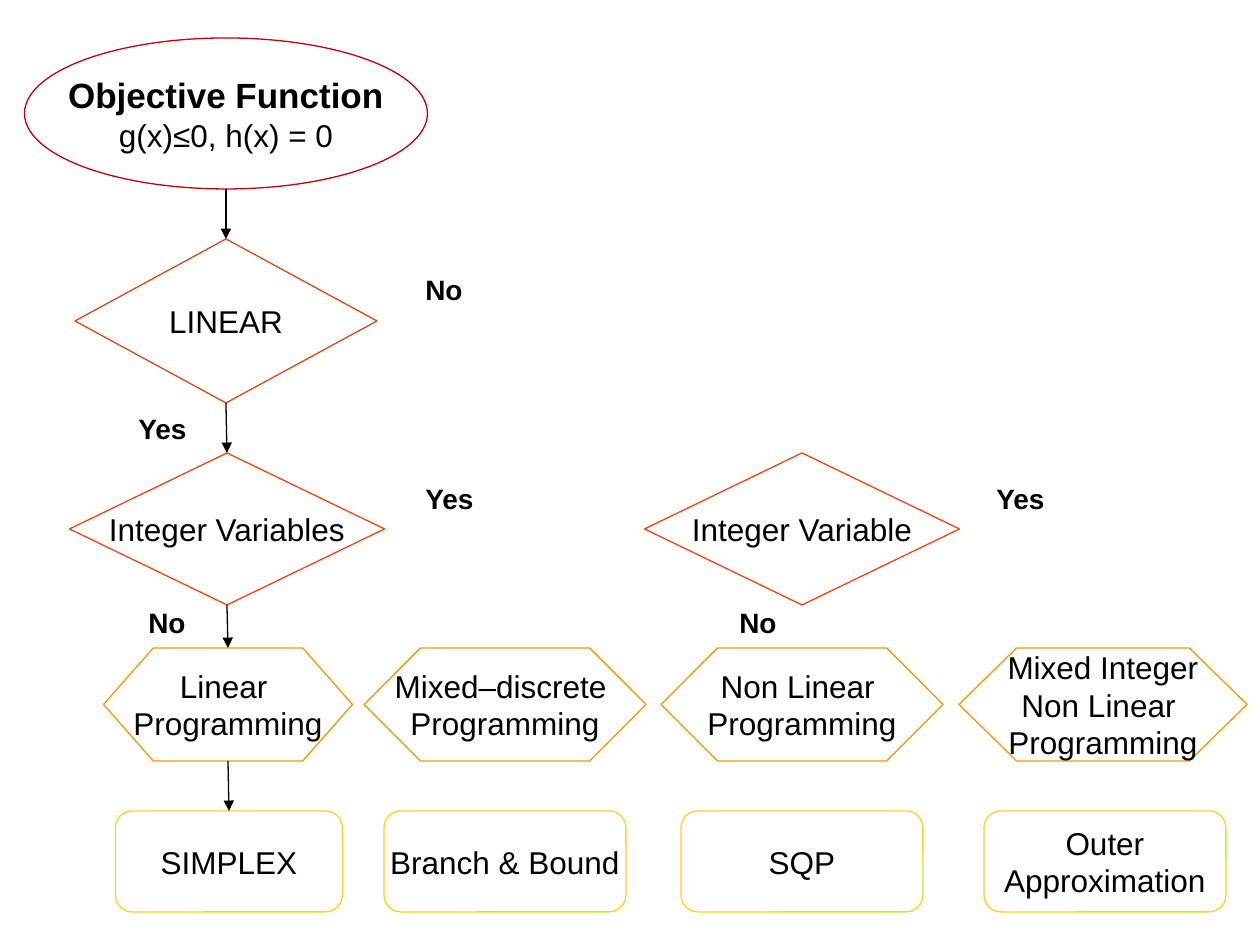
from lxml.etree import SubElement
from pptx import Presentation
from pptx.dml.color import RGBColor
from pptx.enum.shapes import MSO_CONNECTOR, MSO_SHAPE
from pptx.enum.text import MSO_ANCHOR, PP_ALIGN
from pptx.oxml.ns import qn
from pptx.util import Emu, Pt

PX = 914400 // 126
FONT = "Arial"
BLACK = RGBColor(0x00, 0x00, 0x00)
WHITE = RGBColor(0xFF, 0xFF, 0xFF)
CRIMSON = RGBColor(0xC5, 0x00, 0x0B)
RUST = RGBColor(0xDD, 0x48, 0x14)
RED = RGBColor(0xFF, 0x42, 0x0E)
ORANGE = RGBColor(0xFF, 0x95, 0x0E)
YELLOW = RGBColor(0xFF, 0xD3, 0x20)

# kind: preset, line colour, top, height
KINDS = {
    "start": (MSO_SHAPE.FLOWCHART_CONNECTOR, CRIMSON, 38, 151),
    "linearity": (MSO_SHAPE.FLOWCHART_DECISION, RUST, 239, 164),
    "integrality": (MSO_SHAPE.FLOWCHART_DECISION, RED, 453, 152),
    "problem": (MSO_SHAPE.FLOWCHART_PREPARATION, ORANGE, 648, 113),
    "method": (MSO_SHAPE.FLOWCHART_ALTERNATE_PROCESS, YELLOW, 811, 101),
}
# kind, centre, width, lines of text
MAIN_PATH = [
    ("start", 226, 403, ["Objective Function", "g(x)≤0, h(x) = 0"]),
    ("linearity", 226, 302, ["LINEAR"]),
    ("integrality", 227, 315, ["Integer Variables"]),
    ("problem", 228, 249, ["Linear ", "Programming"]),
    ("method", 229, 227, ["SIMPLEX"]),
]
OTHER_NODES = [
    ("integrality", 802, 315, ["Integer Variable"]),
    ("problem", 505, 282, ["Mixed–discrete ", "Programming"]),
    ("method", 505, 242, ["Branch & Bound"]),
    ("problem", 802, 282, ["Non Linear ", "Programming"]),
    ("method", 802, 242, ["SQP"]),
    ("problem", 1103, 288, ["Mixed Integer", "Non Linear ", "Programming"]),
    ("method", 1105, 242, ["Outer", "Approximation"]),
]
ANSWER_WIDTHS = {"Yes": 74, "No": 62}
ANSWERS = [
    ("Yes", 126, 405), ("Yes", 413, 475), ("Yes", 984, 475),
    ("No", 413, 266), ("No", 136, 599), ("No", 727, 599),
]


def px(*lengths):
    return [Emu(length * PX) for length in lengths]


def add_line_of_text(paragraph, text, size, bold, alignment):
    paragraph.alignment = alignment
    run = paragraph.add_run()
    run.text = text
    run.font.name = FONT
    run.font.size = Pt(size)
    run.font.bold = bold
    run.font.color.rgb = BLACK


def add_node(slide, kind, centre, width, lines):
    preset, colour, top, height = KINDS[kind]
    shape = slide.shapes.add_shape(
        preset, *px(centre - width / 2, top, width, height))
    shape.shadow.inherit = False
    shape.fill.solid()
    shape.fill.fore_color.rgb = WHITE
    shape.line.color.rgb = colour
    shape.line.width = Pt(0.75)
    frame = shape.text_frame
    frame.word_wrap = False
    frame.vertical_anchor = MSO_ANCHOR.MIDDLE
    for index, text in enumerate(lines):
        paragraph = frame.add_paragraph() if index else frame.paragraphs[0]
        heading = kind == "start" and index == 0
        add_line_of_text(paragraph, text, 20 if heading else 18, heading, PP_ALIGN.CENTER)
    return shape


def add_arrow(slide, upper, lower):
    connector = slide.shapes.add_connector(
        MSO_CONNECTOR.STRAIGHT,
        upper.left + upper.width // 2, upper.top + upper.height,
        lower.left + lower.width // 2, lower.top)
    if upper.auto_shape_type != MSO_SHAPE.FLOWCHART_CONNECTOR:
        connector.begin_connect(upper, 2)
    connector.end_connect(lower, 0)
    connector.line.color.rgb = BLACK
    connector.line.width = Pt(0.75)
    SubElement(connector.line._get_or_add_ln(), qn("a:tailEnd"), type="triangle")
    SubElement(connector._element.spPr, qn("a:effectLst"))


def add_answer(slide, text, left, top):
    box = slide.shapes.add_textbox(*px(left, top, ANSWER_WIDTHS[text], 44))
    box.text_frame.word_wrap = True
    add_line_of_text(box.text_frame.paragraphs[0], text, 16, True, PP_ALIGN.LEFT)


def main():
    presentation = Presentation()
    presentation.slide_width, presentation.slide_height = px(1260, 945)
    slide = presentation.slides.add_slide(presentation.slide_layouts[6])
    path_shapes = [add_node(slide, *node) for node in MAIN_PATH]
    for upper, lower in zip(path_shapes, path_shapes[1:]):
        add_arrow(slide, upper, lower)
    for node in OTHER_NODES:
        add_node(slide, *node)
    for answer in ANSWERS:
        add_answer(slide, *answer)
    presentation.save("out.pptx")


if __name__ == "__main__":
    main()
